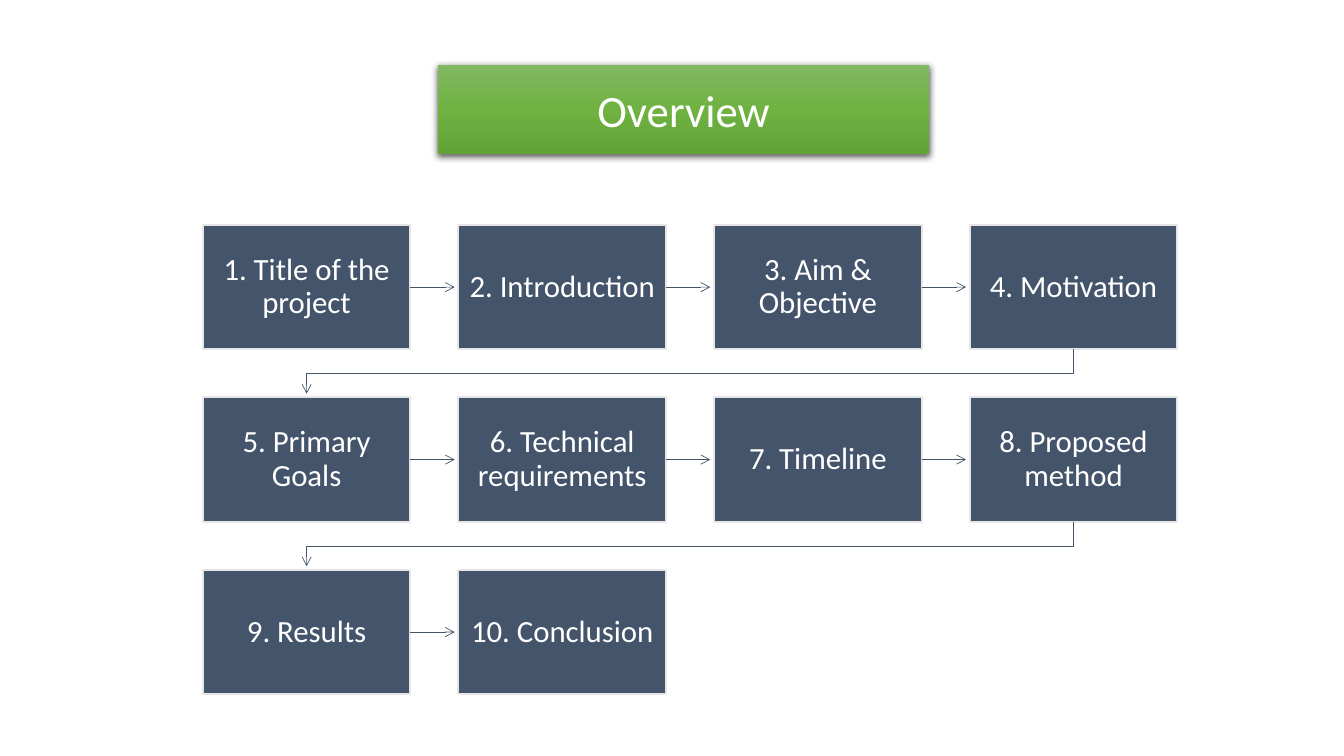
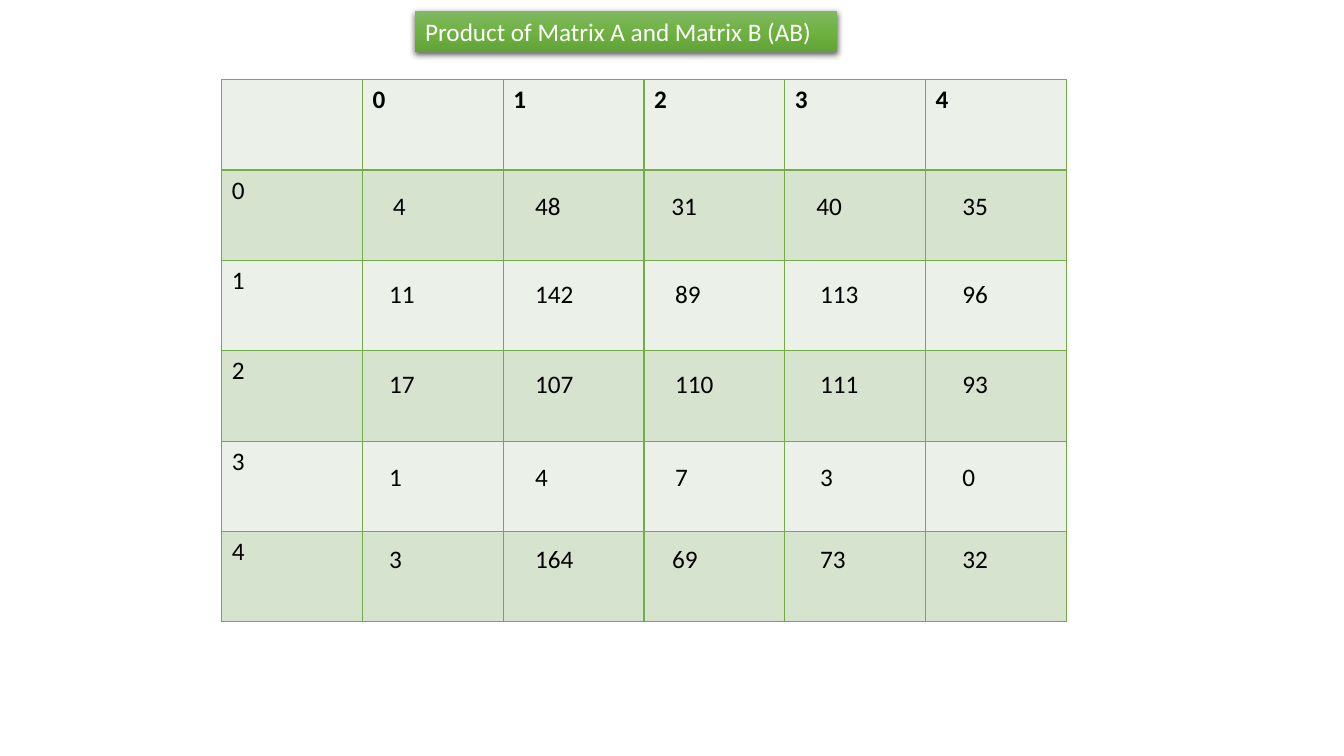
"""Build an overview flow chart and a matrix product table."""
from copy import deepcopy

from lxml.etree import SubElement
from pptx import Presentation
from pptx.dml.color import RGBColor
from pptx.enum.shapes import MSO_CONNECTOR, MSO_SHAPE
from pptx.enum.text import MSO_ANCHOR, PP_ALIGN
from pptx.oxml import parse_xml
from pptx.oxml.ns import nsdecls, qn
from pptx.util import Pt

FONT = "Calibri"
WHITE = RGBColor(0xFF, 0xFF, 0xFF)
BLACK = RGBColor(0x00, 0x00, 0x00)
SLATE = RGBColor(0x44, 0x54, 0x6A)
PALE_GRAY = RGBColor(0xE7, 0xE6, 0xE6)
GREEN = RGBColor(0x70, 0xAD, 0x47)
BANDS = RGBColor(0xEB, 0xF1, 0xE9), RGBColor(0xD5, 0xE3, 0xCF)
BANNER_GREENS = (RGBColor(0x81, 0xB8, 0x61), RGBColor(0x6F, 0xB2, 0x42),
                 RGBColor(0x62, 0xA3, 0x36))


def write_text(frame, text, size, color, alignment=PP_ALIGN.LEFT):
    paragraph = frame.paragraphs[0]
    paragraph.text = text
    paragraph.alignment = alignment
    paragraph.font.name = FONT
    paragraph.font.size = Pt(size)
    paragraph.font.color.rgb = color
    return paragraph


def add_banner(slide, text, box, size, alignment):
    shape = slide.shapes.add_shape(MSO_SHAPE.RECTANGLE, *map(Pt, box))
    shape.line.fill.background()
    shape.fill.gradient()
    shape.fill.gradient_angle = 270
    stops = shape._element.spPr.find(".//" + qn("a:gsLst"))
    stops.insert(1, deepcopy(stops[0]))
    for stop, position, color in zip(shape.fill.gradient_stops, (0, 0.5, 1), BANNER_GREENS):
        stop.position = position
        stop.color.rgb = color
    shape.shadow.inherit = False
    shape._element.spPr.find(qn("a:effectLst")).append(parse_xml(
        f'<a:outerShdw {nsdecls("a")} blurRad="57150" dist="19050" dir="5400000" '
        'algn="ctr" rotWithShape="0"><a:srgbClr val="000000"><a:alpha val="63000"/>'
        '</a:srgbClr></a:outerShdw>'))
    shape.text_frame.vertical_anchor = MSO_ANCHOR.MIDDLE
    write_text(shape.text_frame, text, size, WHITE, alignment)


presentation = Presentation()
presentation.slide_width = Pt(960)
presentation.slide_height = Pt(540)
blank = presentation.slide_layouts[6]

slide = presentation.slides.add_slide(blank)
add_banner(slide, "Overview", (313, 46.4, 350.6, 63.4), 32, PP_ALIGN.CENTER)

TOPICS = ["1. Title of the project", "2. Introduction", "3. Aim & Objective", "4. Motivation",
          "5. Primary Goals", "6. Technical requirements", "7. Timeline", "8. Proposed method",
          "9. Results", "10. Conclusion"]
COLUMNS = 4
LEFT, TOP = 144.8, 160.6
WIDTH, HEIGHT = 148.4, 89
STEP_X, STEP_Y = 182.6, 123.2
ARROW_GAP = 2.6

for index, topic in enumerate(TOPICS):
    row, column = divmod(index, COLUMNS)
    left, top = LEFT + column * STEP_X, TOP + row * STEP_Y
    shape = slide.shapes.add_shape(MSO_SHAPE.RECTANGLE, Pt(left), Pt(top), Pt(WIDTH), Pt(HEIGHT))
    shape.shadow.inherit = False
    shape.fill.solid()
    shape.fill.fore_color.rgb = SLATE
    shape.line.color.rgb = PALE_GRAY
    shape.line.width = Pt(1.5)
    frame = shape.text_frame
    frame.margin_left = frame.margin_right = Pt(7.2)
    frame.margin_top = frame.margin_bottom = Pt(7.6)
    frame.vertical_anchor = MSO_ANCHOR.MIDDLE
    write_text(frame, topic, 22, WHITE, PP_ALIGN.CENTER).line_spacing = 0.9

    if index == len(TOPICS) - 1:
        continue
    if column < COLUMNS - 1:
        middle = Pt(top + HEIGHT / 2)
        arrow = slide.shapes.add_connector(
            MSO_CONNECTOR.STRAIGHT, Pt(left + WIDTH), middle,
            Pt(left + STEP_X - ARROW_GAP), middle)
        arrow.begin_connect(shape, 3)
        SubElement(arrow._element.spPr, qn("a:effectLst"))
    else:
        start, end = left + WIDTH / 2, LEFT + WIDTH / 2
        bottom, next_top = top + HEIGHT, top + STEP_Y
        turn = (bottom + next_top) / 2
        builder = slide.shapes.build_freeform(Pt(start), Pt(bottom))
        builder.add_line_segments(
            [(Pt(start), Pt(turn)), (Pt(end), Pt(turn)), (Pt(end), Pt(next_top - ARROW_GAP))],
            close=False)
        arrow = builder.convert_to_shape()
        arrow.fill.background()
        arrow.shadow.inherit = False
    arrow.line.color.rgb = SLATE
    arrow.line.width = Pt(0.5)
    SubElement(arrow._element.spPr.find(qn("a:ln")), qn("a:tailEnd"), type="arrow")

slide = presentation.slides.add_slide(blank)
PRODUCT = [[4, 48, 31, 40, 35],
           [11, 142, 89, 113, 96],
           [17, 107, 110, 111, 93],
           [1, 4, 7, 3, 0],
           [3, 164, 69, 73, 32]]
VALUE_LEFTS = [270.8, 375.2, 475.2, 578.8, 680.4]
VALUE_TOPS = [132.6, 195.6, 259.4, 326.2, 384.2]
VALUE_NUDGES = {(0, 0): 2.8, (0, 2): -2.8, (0, 3): -2.8, (4, 2): -2.2}
COLUMN_WIDTH, ROW_HEIGHT = 100.56, 64.56

table = slide.shapes.add_table(6, 6, Pt(158.4), Pt(56.9), Pt(6 * COLUMN_WIDTH),
                               Pt(6 * ROW_HEIGHT)).table
for column in table.columns:
    column.width = Pt(COLUMN_WIDTH)
for row in table.rows:
    row.height = Pt(ROW_HEIGHT)
for row in range(6):
    for column in range(6):
        cell = table.cell(row, column)
        for side in "LRTB":
            cell._tc.get_or_add_tcPr().append(parse_xml(
                f'<a:ln{side} {nsdecls("a")} w="12700"><a:solidFill>'
                f'<a:srgbClr val="{GREEN}"/></a:solidFill></a:ln{side}>'))
        cell.fill.solid()
        cell.fill.fore_color.rgb = BANDS[row % 2]
        if (row == 0) != (column == 0):
            label = str(row + column - 1)
            write_text(cell.text_frame, label, 18, BLACK).font.bold = row == 0

for row, values in enumerate(PRODUCT):
    for column, value in enumerate(values):
        left = VALUE_LEFTS[column] + VALUE_NUDGES.get((row, column), 0)
        shape = slide.shapes.add_textbox(Pt(left), Pt(VALUE_TOPS[row]), Pt(46), Pt(29))
        shape.text_frame.word_wrap = True
        write_text(shape.text_frame, str(value), 18, BLACK)

add_banner(slide, "Product of Matrix A and Matrix B (AB)", (296.6, 7.9, 301.6, 29), 18,
           PP_ALIGN.LEFT)

presentation.save("out.pptx")
